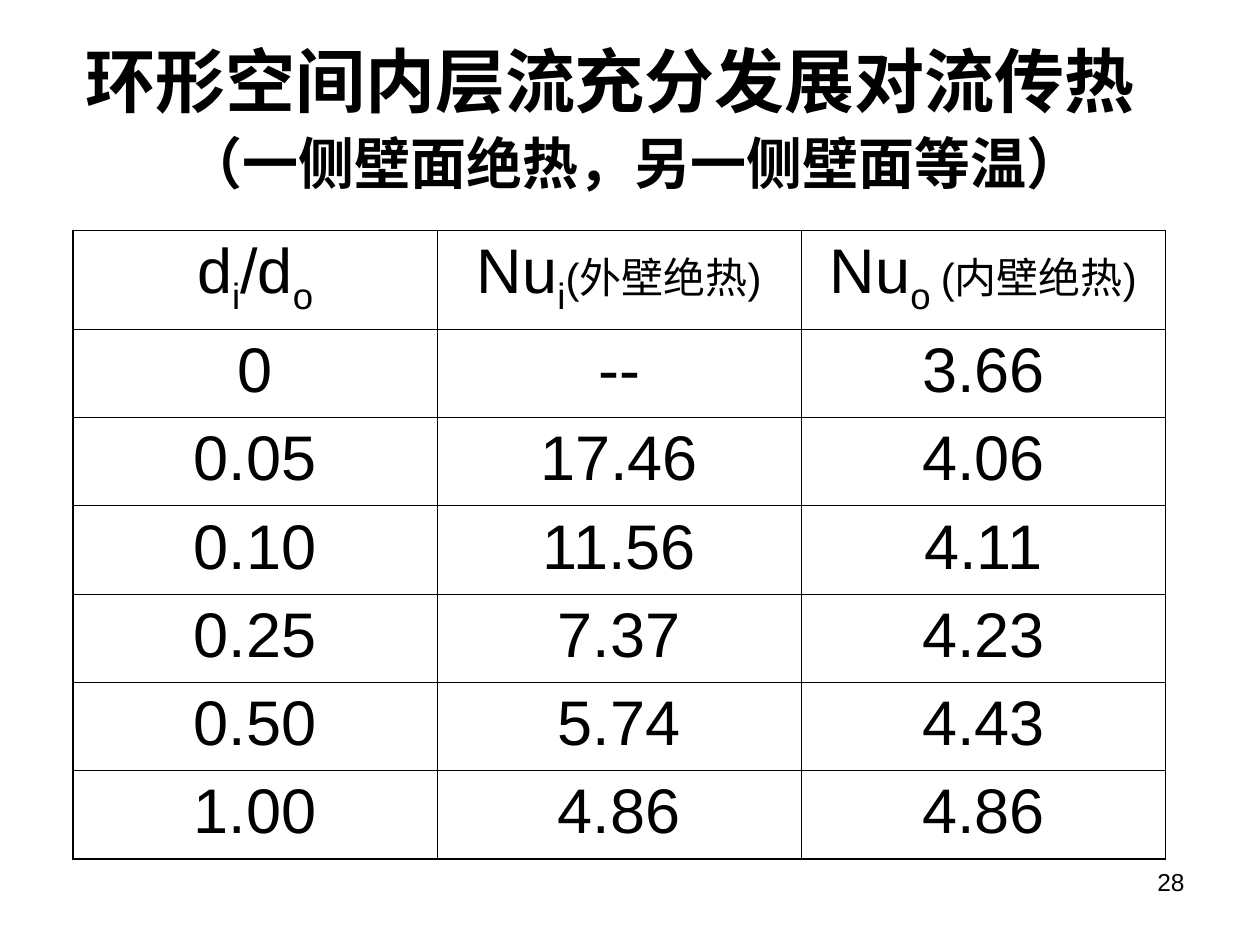
"""Build a slide with a table of Nusselt numbers for laminar flow in an annulus."""
from lxml import etree
from pptx import Presentation
from pptx.dml.color import RGBColor
from pptx.enum.text import PP_ALIGN
from pptx.oxml.ns import qn
from pptx.util import Inches, Pt

LEFT, CENTER, RIGHT = PP_ALIGN.LEFT, PP_ALIGN.CENTER, PP_ALIGN.RIGHT
COLORS = {"text": "000000", "border": "000000"}
FONT = "Arial"
OUTER, INNER = 1.08, 0.45


def add_run(paragraph, text, size, bold=False, baseline=0):
    run = paragraph.add_run()
    run.text = text
    run.font.name = FONT
    run.font.size = Pt(size)
    run.font.bold = bold
    run.font.color.rgb = RGBColor.from_string(COLORS["text"])
    if baseline:
        run.font._element.set("baseline", str(baseline * 1000))


def add_border(cell, side, width):
    line = etree.SubElement(cell._tc.get_or_add_tcPr(), qn(f"a:{side}"), w=str(Pt(width)))
    fill = etree.SubElement(line, qn("a:solidFill"))
    etree.SubElement(fill, qn("a:srgbClr"), val=COLORS["border"])


presentation = Presentation()
presentation.slide_width = Inches(10)
presentation.slide_height = Inches(7.5)
slide = presentation.slides.add_slide(presentation.slide_layouts[6])

number_box = slide.shapes.add_textbox(Inches(7.17), Inches(6.83), Inches(2.33), Inches(0.52))
number_box.text_frame.word_wrap = True
paragraph = number_box.text_frame.paragraphs[0]
paragraph.alignment = RIGHT
add_run(paragraph, "28", 14)

title_box = slide.shapes.add_textbox(Inches(0.58), Inches(0.25), Inches(8.92), Inches(1.36))
title_frame = title_box.text_frame
title_frame.word_wrap = True
paragraph = title_frame.paragraphs[0]
paragraph.alignment = LEFT
add_run(paragraph, "环形空间内层流充分发展对流传热", 40, bold=True)
paragraph = title_frame.add_paragraph()
paragraph.alignment = CENTER
paragraph.space_before = Pt(4)
add_run(paragraph, "（一侧壁面绝热，另一侧壁面等温）", 32, bold=True)

header = [
    [("d", 36, 0), ("i", 36, -25), ("/d", 36, 0), ("o", 36, -25)],
    [("Nu", 36, 0), ("i", 36, -25), ("(外壁绝热)", 24, 0)],
    [("Nu", 36, 0), ("o ", 36, -25), ("(内壁绝热)", 24, 0)],
]
values = [
    ("0", "--", "3.66"),
    ("0.05", "17.46", "4.06"),
    ("0.10", "11.56", "4.11"),
    ("0.25", "7.37", "4.23"),
    ("0.50", "5.74", "4.43"),
    ("1.00", "4.86", "4.86"),
]
rows = [header] + [[[(value, 36, 0)] for value in row] for row in values]
last_row, last_column = len(rows) - 1, len(header) - 1

table = slide.shapes.add_table(
    len(rows), len(header), Inches(0.58), Inches(1.83), Inches(8.67), Inches(4.98)
).table
table.first_row = False
table.horz_banding = False
for column in table.columns:
    column.width = Inches(2.89)
for row_index, row in enumerate(rows):
    table.rows[row_index].height = Inches(0.7 if row_index else 0.78)
    for column_index, runs in enumerate(row):
        cell = table.cell(row_index, column_index)
        paragraph = cell.text_frame.paragraphs[0]
        paragraph.alignment = CENTER
        for text, size, baseline in runs:
            add_run(paragraph, text, size, baseline=baseline)
        edges = {
            "lnL": column_index == 0,
            "lnR": column_index == last_column,
            "lnT": row_index == 0,
            "lnB": row_index == last_row,
        }
        for side, is_outer in edges.items():
            add_border(cell, side, OUTER if is_outer else INNER)
        cell.fill.background()

presentation.save("out.pptx")
